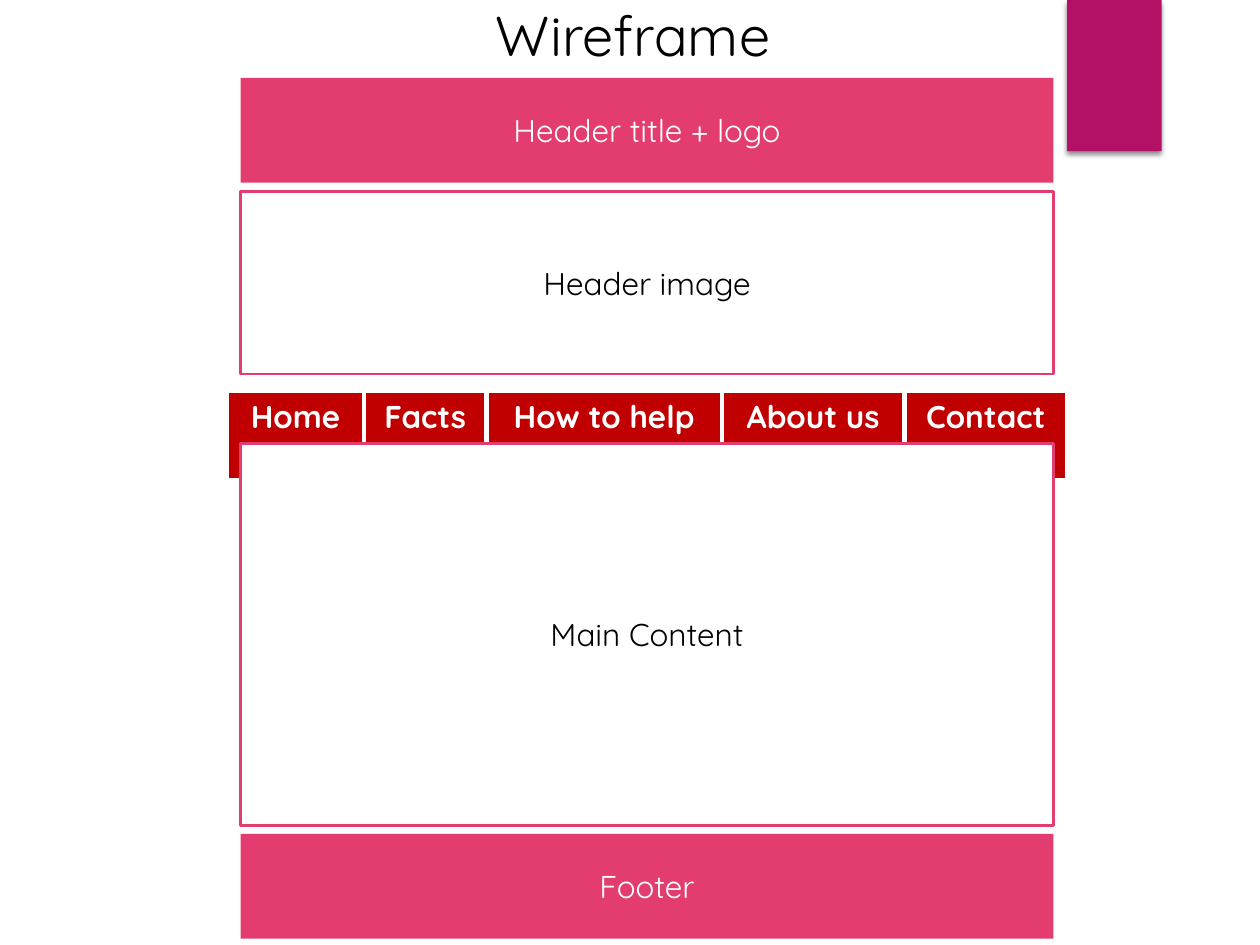
"""Build a slide with the wireframe of a web page."""
from lxml.etree import SubElement
from pptx import Presentation
from pptx.dml.color import RGBColor
from pptx.enum.shapes import MSO_SHAPE
from pptx.enum.text import MSO_ANCHOR, MSO_AUTO_SIZE, PP_ALIGN
from pptx.oxml.ns import qn
from pptx.util import Pt

PINK, RED, PLUM = "E33D6F", "C00000", "B31166"
WHITE, BLACK = "FFFFFF", "000000"


def color(code):
    return RGBColor.from_string(code)


def paint(item, code):
    item.fill.solid()
    item.fill.fore_color.rgb = color(code)


class Page:
    font = "Quicksand"
    size = 18

    def __init__(self, deck):
        self.slide = deck.slides.add_slide(deck.slide_layouts[5])

    def label(self, frame, text, ink, size=None, bold=False):
        frame.text = text
        line = frame.paragraphs[0]
        line.alignment = PP_ALIGN.CENTER
        font = line.runs[0].font
        font.name, font.size, font.bold = self.font, Pt(size or self.size), bold
        font.color.rgb = color(ink)

    def title(self, text, left, top, width, height):
        title = self.slide.shapes.title
        title.left, title.top = Pt(left), Pt(top)
        title.width, title.height = Pt(width), Pt(height)
        frame = title.text_frame
        frame.auto_size = MSO_AUTO_SIZE.NONE
        frame.vertical_anchor = MSO_ANCHOR.TOP
        self.label(frame, text, BLACK, 32)

    def block(self, left, top, width, height, fill, line=None):
        block = self.slide.shapes.add_shape(
            MSO_SHAPE.RECTANGLE, Pt(left), Pt(top), Pt(width), Pt(height))
        block.shadow.inherit = False
        paint(block, fill)
        if line:
            block.line.color.rgb = color(line)
            block.line.width = Pt(1.5)
        else:
            block.line.fill.background()
        return block

    def panel(self, text, top, height, solid):
        fill, line, ink = (PINK, None, WHITE) if solid else (WHITE, PINK, BLACK)
        panel = self.block(137.5, top, 464.4, height, fill, line)
        panel.text_frame.vertical_anchor = MSO_ANCHOR.MIDDLE
        self.label(panel.text_frame, text, ink)

    def tab(self, left, top, width, height):
        tab = self.block(left, top, width, height, PLUM)
        effect = tab._element.spPr.find(qn("a:effectLst"))
        shadow = SubElement(effect, qn("a:outerShdw"), blurRad=str(Pt(3)),
                            dist=str(Pt(2)), dir="5400000", rotWithShape="0")
        shade = SubElement(shadow, qn("a:srgbClr"), val=BLACK)
        SubElement(shade, qn("a:alpha"), val="45000")

    def border(self, cell):
        props = cell._tc.get_or_add_tcPr()
        for side in "LRTB":
            line = SubElement(props, qn(f"a:ln{side}"), w=str(Pt(3)))
            fill = SubElement(line, qn("a:solidFill"))
            SubElement(fill, qn("a:srgbClr"), val=WHITE)

    def menu(self, items, left, top, height):
        table = self.slide.shapes.add_table(
            1, len(items), Pt(left), Pt(top),
            Pt(sum(items.values())), Pt(height)).table
        table.rows[0].height = Pt(height)
        for col, cell, (text, width) in zip(
                table.columns, table.rows[0].cells, items.items()):
            col.width = Pt(width)
            self.border(cell)
            paint(cell, RED)
            self.label(cell.text_frame, text, WHITE, bold=True)


def main():
    deck = Presentation()
    deck.slide_width, deck.slide_height = Pt(720), Pt(540)
    page = Page(deck)
    page.title("Wireframe", 141.1, -3.6, 441.4, 46.1)
    page.tab(609.8, 0, 54, 86.4)
    page.panel("Footer", 476.6, 59.8, True)
    page.panel("Header title + logo", 44.6, 59.8, True)
    page.menu({"Home": 78.5, "Facts": 69.8, "How to help": 134.6,
               "About us": 104.4, "Contact": 92.9}, 129.6, 223.2, 51.1)
    page.panel("Header image", 109.4, 104.4, False)
    page.panel("Main Content", 253.4, 218.2, False)
    deck.save("out.pptx")


if __name__ == "__main__":
    main()
